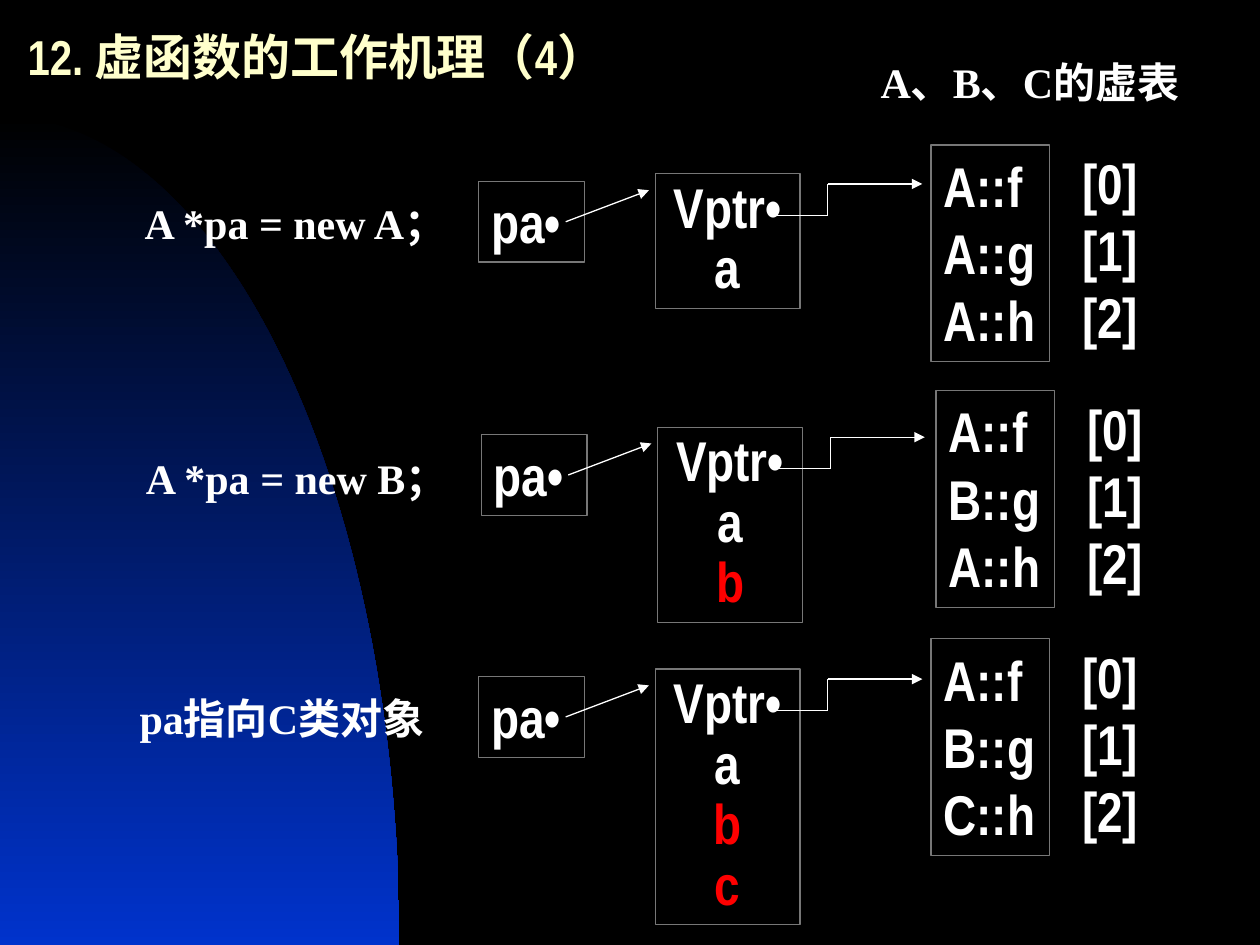
from dataclasses import dataclass
from math import cos, pi, sin

from lxml.etree import SubElement
from pptx import Presentation
from pptx.dml.color import RGBColor
from pptx.enum.shapes import MSO_CONNECTOR, MSO_SHAPE
from pptx.enum.text import MSO_ANCHOR, MSO_AUTO_SIZE, PP_ALIGN
from pptx.oxml.ns import qn
from pptx.util import Emu, Pt


def px(count):
    """Turn px, at 100 to the inch, into EMU."""
    return Emu(round(count * 9144))


@dataclass(frozen=True)
class Theme:
    """Colours, fonts and type sizes."""
    black: RGBColor = RGBColor(0, 0, 0)
    blue: RGBColor = RGBColor(0x00, 0x33, 0xCC)
    cream: RGBColor = RGBColor(0xFF, 0xFF, 0xCC)
    white: RGBColor = RGBColor(0xFF, 0xFF, 0xFF)
    grey: RGBColor = RGBColor(0x77, 0x77, 0x77)
    red: RGBColor = RGBColor(0xFF, 0, 0)
    sans: str = "Arial Narrow"
    serif: str = "Times New Roman"
    title: int = 28
    code: int = 32
    label: int = 24
    stroke: float = 0.75


def write(frame, text, *, font, size, color, accent=None, marked=(),
          align=PP_ALIGN.LEFT, lead=None, wrap=False,
          anchor=MSO_ANCHOR.TOP, fit=MSO_AUTO_SIZE.SHAPE_TO_FIT_TEXT):
    """Fill a frame with one bold paragraph per line of text."""
    frame.word_wrap = wrap
    frame.auto_size = fit
    frame.vertical_anchor = anchor
    for index, line in enumerate(text.split("\n")):
        para = frame.add_paragraph() if index else frame.paragraphs[0]
        para.alignment = align
        para.line_spacing = lead
        run = para.add_run()
        run.text = line
        run.font.name = font
        run.font.size = Pt(size)
        run.font.bold = True
        run.font.color.rgb = accent if line in marked else color


class Painter:
    """Holds the theme and the current slide."""

    def __init__(self, theme, slide):
        """Keep the style and paint the ground."""
        self.theme = theme
        self.slide = slide
        self.shapes = slide.shapes
        fill = slide.background.fill
        fill.solid()
        fill.fore_color.rgb = theme.black

    def curve(self, top, width, height, steps=60):
        """Draw a quarter ellipse that fades from black to blue."""
        turns = [step * pi / 2 / steps for step in range(steps + 1)]
        points = [(px(width * sin(turn)), px(top + height * (1 - cos(turn))))
                  for turn in turns]
        points.append((0, px(top + height)))
        pen = self.shapes.build_freeform(*points[0])
        pen.add_line_segments(points[1:], close=True)
        shape = pen.convert_to_shape()
        shape.shadow.inherit = False
        shape.line.fill.background()
        shape.fill.gradient()
        shape.fill.gradient_angle = 270
        colors = (self.theme.black, self.theme.blue)
        for stop, place, color in zip(shape.fill.gradient_stops, (0, 1), colors):
            stop.position = place
            stop.color.rgb = color

    def text(self, text, x, y, width, height, **style):
        """Add a plain text box."""
        area = self.shapes.add_textbox(px(x), px(y), px(width), px(height))
        write(area.text_frame, text, **style)

    def label(self, text, x, y, width):
        """Add a wrapped serif label."""
        theme = self.theme
        self.text(text, x, y, width, 50, font=theme.serif, size=theme.label,
                  color=theme.white, wrap=True)

    def box(self, text, x, y, width, height, **style):
        """Add a framed box of code."""
        theme = self.theme
        shape = self.shapes.add_shape(MSO_SHAPE.RECTANGLE, px(x), px(y),
                                      px(width), px(height))
        shape.shadow.inherit = False
        shape.fill.background()
        shape.line.color.rgb = theme.grey
        shape.line.width = Pt(theme.stroke)
        write(shape.text_frame, text, font=theme.sans, size=theme.code,
              color=theme.white, **style)

    def line(self, start, end, arrow=False):
        """Add a straight line, with an arrowhead if asked."""
        link = self.shapes.add_connector(
            MSO_CONNECTOR.STRAIGHT, *map(px, start + end))
        link.line.color.rgb = self.theme.white
        link.line.width = Pt(self.theme.stroke)
        if arrow:
            stroke = link.line._get_or_add_ln()
            SubElement(stroke, qn("a:tailEnd"), type="triangle")
        SubElement(link._element.spPr, qn("a:effectLst"))

    def row(self, x, y, fields, table, left, top):
        """Draw a pointer, its object and the virtual table."""
        theme = self.theme
        self.box("pa•", x, y, 84, 64)
        self.line((x + 69, y + 32), (x + 135, y + 7), arrow=True)
        count = len(fields) + 1
        self.box("\n".join(["Vptr•", *fields]), x + 140, y - 6, 115,
                 11 + 48 * count, align=PP_ALIGN.CENTER, lead=0.9,
                 accent=theme.red, marked=("b", "c"))
        high, low = (x + 277, y + 2), (x + 277, y + 27)
        self.line((x + 235, y + 27), low)
        self.line(high, low)
        self.line(high, (x + 352, y + 2), arrow=True)
        self.box("\n".join(table), left, top, 94, 172)
        self.text("\n".join(f"[{slot}]" for slot in range(len(table))),
                  left + 110, top - 2, 65, 170, font=theme.sans,
                  size=theme.code, color=theme.white)


def main():
    """Build and save the slide."""
    deck = Presentation()
    deck.slide_width, deck.slide_height = px(1000), px(750)
    theme = Theme()
    art = Painter(theme, deck.slides.add_slide(deck.slide_layouts[6]))
    art.curve(92, 317, 658)
    art.text("12. 虚函数的工作机理（4）", 12, 5, 921, 91, font=theme.sans,
             size=theme.title, color=theme.cream, lead=0.7, wrap=True,
             anchor=MSO_ANCHOR.MIDDLE, fit=MSO_AUTO_SIZE.NONE)
    labels = (
        ("A、B、C的虚表", 689, 40, 276),
        ("A *pa = new A；", 105, 152, 303),
        ("A *pa = new B；", 106, 354, 303),
        ("pa指向C类对象", 101, 545, 248),
    )
    for label in labels:
        art.label(*label)
    rows = (
        (380, 144, "a", ("A::f", "A::g", "A::h"), 739, 115),
        (382, 345, "ab", ("A::f", "B::g", "A::h"), 743, 310),
        (380, 537, "abc", ("A::f", "B::g", "C::h"), 739, 507),
    )
    for row in rows:
        art.row(*row)
    deck.save("out.pptx")


if __name__ == "__main__":
    main()
